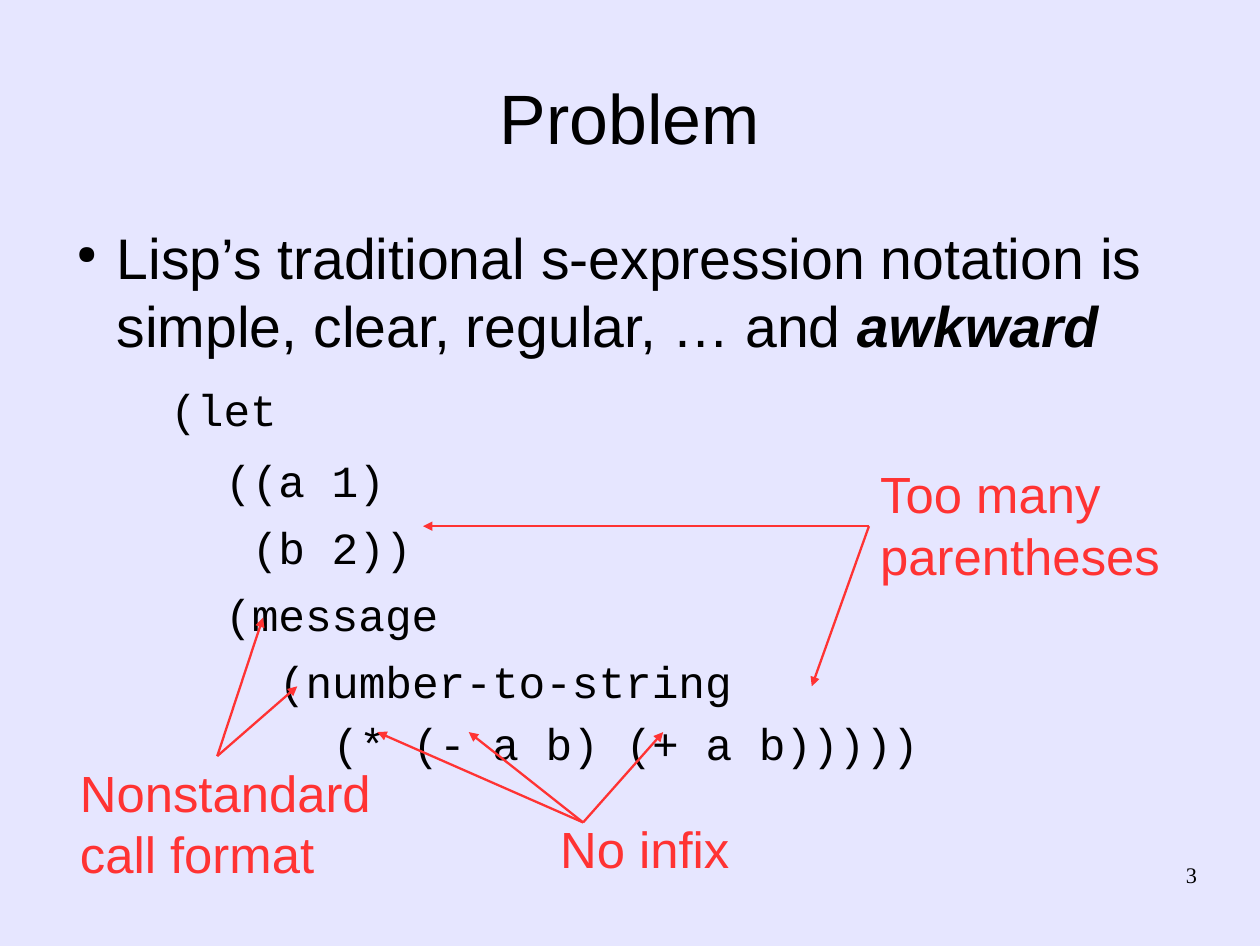
import pptx
import pptx.util
import pptx.dml.color
import pptx.enum.shapes
import pptx.enum.text
import pptx.oxml
import pptx.oxml.ns
from pptx.util import Inches

ALIGN = pptx.enum.text.PP_ALIGN
BLACK, RED, LAVENDER = "000000", "FF3333", "E6E6FF"


def colour(value):
    return pptx.dml.color.RGBColor.from_string(value)


def add_element(parent, tag, **attributes):
    element = pptx.oxml.parse_xml(f"<a:{tag} {pptx.oxml.ns.nsdecls('a')}/>")
    for name, value in attributes.items():
        element.set(name, value)
    parent.append(element)
    return element


class Page:
    """Draws styled elements on one slide."""

    def __init__(self, deck):
        self.slide = deck.slides.add_slide(deck.slide_layouts[5])
        self.slide.background.fill.solid()
        self.slide.background.fill.fore_color.rgb = colour(LAVENDER)

    def frame(self, box, margins=(0, 0), wrap=True):
        frame = box.text_frame
        frame.word_wrap = wrap
        frame.auto_size = pptx.enum.text.MSO_AUTO_SIZE.NONE
        frame.margin_left = frame.margin_right = Inches(margins[0])
        frame.margin_top = frame.margin_bottom = Inches(margins[1])
        return frame

    def style(self, para, size, face="Arial", ink=BLACK, align=ALIGN.LEFT):
        para.alignment = align
        para.font.size = pptx.util.Pt(size)
        para.font.name = face
        para.font.color.rgb = colour(ink)

    def title(self, text, left, top, width, height):
        box = self.slide.shapes.title
        box.left, box.top = Inches(left), Inches(top)
        box.width, box.height = Inches(width), Inches(height)
        frame = self.frame(box)
        frame.vertical_anchor = pptx.enum.text.MSO_ANCHOR.MIDDLE
        frame.text = text
        self.style(frame.paragraphs[0], 44, align=ALIGN.CENTER)

    def text(self, lines, place, size, margins=(0, 0), wrap=True, **look):
        box = self.slide.shapes.add_textbox(*map(Inches, place))
        frame = self.frame(box, margins, wrap)
        frame.text = "\n".join(lines)
        for para in frame.paragraphs:
            self.style(para, size, **look)

    def body(self, spans, code, place):
        frame = self.frame(self.slide.shapes.add_textbox(*map(Inches, place)))
        para = frame.paragraphs[0]
        para.space_after = pptx.util.Pt(14.2)
        properties = para._p.get_or_add_pPr()
        properties.set("marL", str(Inches(0.47)))
        properties.set("indent", str(Inches(-0.35)))
        add_element(add_element(properties, "buClr"), "srgbClr", val=BLACK)
        add_element(properties, "buSzPct", val="45000")
        add_element(properties, "buChar", char="●")
        for text, strong in spans:
            span = para.add_run()
            span.text = text
            if strong:
                span.font.bold = span.font.italic = True
        self.style(para, 36)
        for text, level, gap in code:
            para = frame.add_paragraph()
            para.text = text
            para.level = level
            para.space_after = pptx.util.Pt(gap)
            properties = para._p.get_or_add_pPr()
            properties.set("marL", str(Inches(round(0.4725 * (level + 1), 2))))
            properties.set("indent", "0")
            add_element(properties, "buNone")
            self.style(para, 28, "Courier New")

    def arrow(self, start, end):
        line = self.slide.shapes.add_connector(
            pptx.enum.shapes.MSO_CONNECTOR.STRAIGHT, *map(Inches, start + end))
        line.line.color.rgb = colour(RED)
        line.line.width = pptx.util.Pt(1.45)
        add_element(line.line._get_or_add_ln(), "tailEnd", type="triangle")
        add_element(line._element.spPr, "effectLst")


def main():
    deck = pptx.Presentation()
    deck.slide_width, deck.slide_height = Inches(11.02), Inches(8.27)
    page = Page(deck)
    page.title("Problem", 0.55, 0.33, 9.92, 1.38)
    page.body(
        [("Lisp’s traditional s-expression notation is simple, clear, regular, … and ", False),
         ("awkward", True)],
        [("(let", 1, 11.3),
         ("((a 1)", 2, 8.5),
         (" (b 2))", 2, 8.5),
         ("(message", 2, 8.5),
         ("(number-to-string", 3, 5.7),
         ("(* (- a b) (+ a b)))))", 4, 2.8)],
        (0.55, 1.94, 9.7, 5.77))

    complaints = [
        (["No infix"], (4.8, 7.1, 1.68, 1.1),
         (5.1, 7.19), [(3.3, 6.4), (4.1, 6.4), (5.8, 6.4)]),
        (["Nonstandard", "call format"], (0.6, 6.61, 2.75, 1.1),
         (1.9, 6.61), [(2.6, 6), (2.3, 5.4)]),
        (["Too many", "parentheses"], (7.6, 4, 2.65, 1.1),
         (7.6, 4.6), [(3.7, 4.6), (7.1, 6)]),
    ]
    for lines, place, start, targets in complaints:
        page.text(lines, place, 32, margins=(0.1, 0.05), wrap=False, ink=RED)
        for target in targets:
            page.arrow(start, target)

    page.text(["3"], (7.9, 7.53, 2.57, 0.57), 14,
              face="Times New Roman", align=ALIGN.RIGHT)
    deck.save("out.pptx")


if __name__ == "__main__":
    main()
